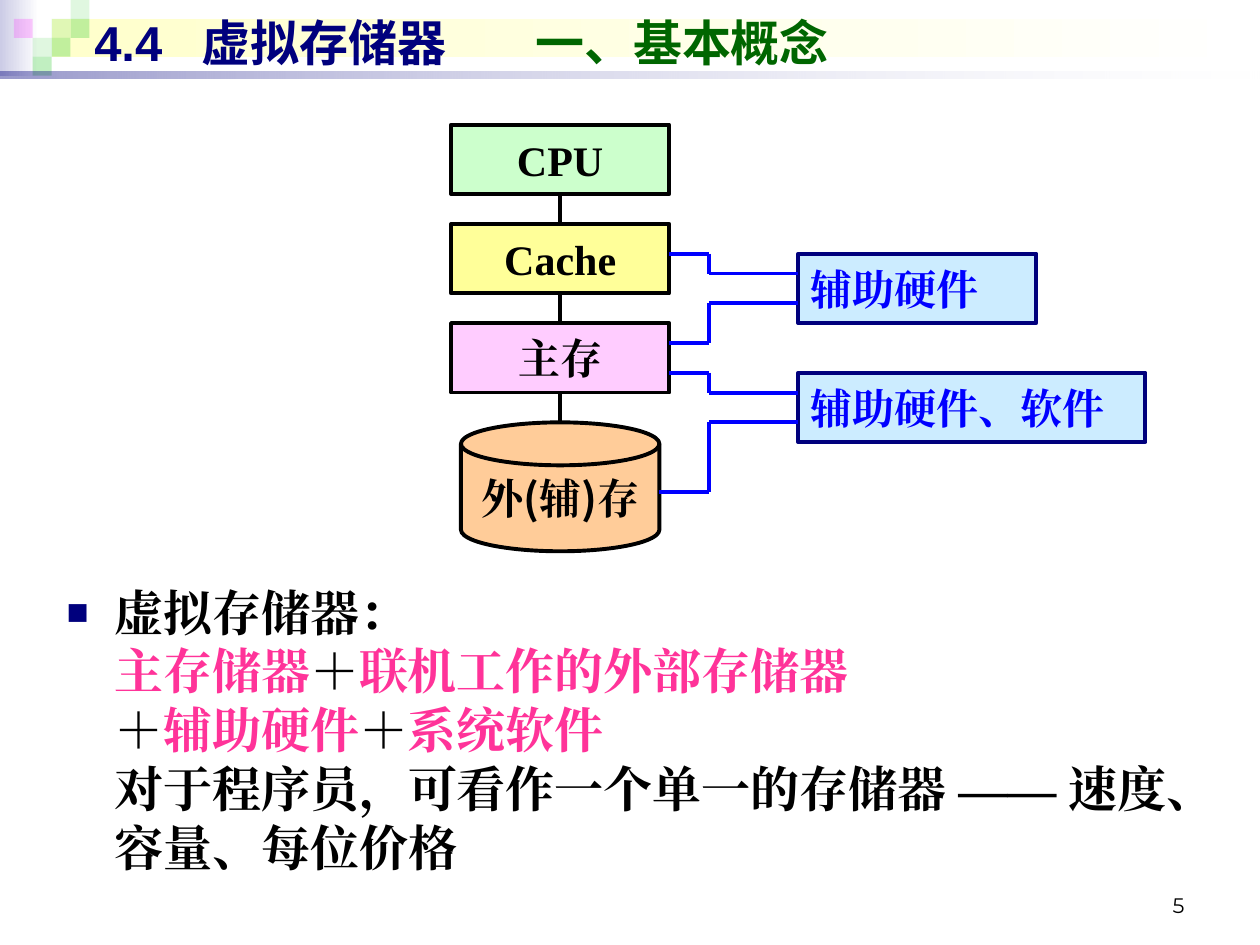
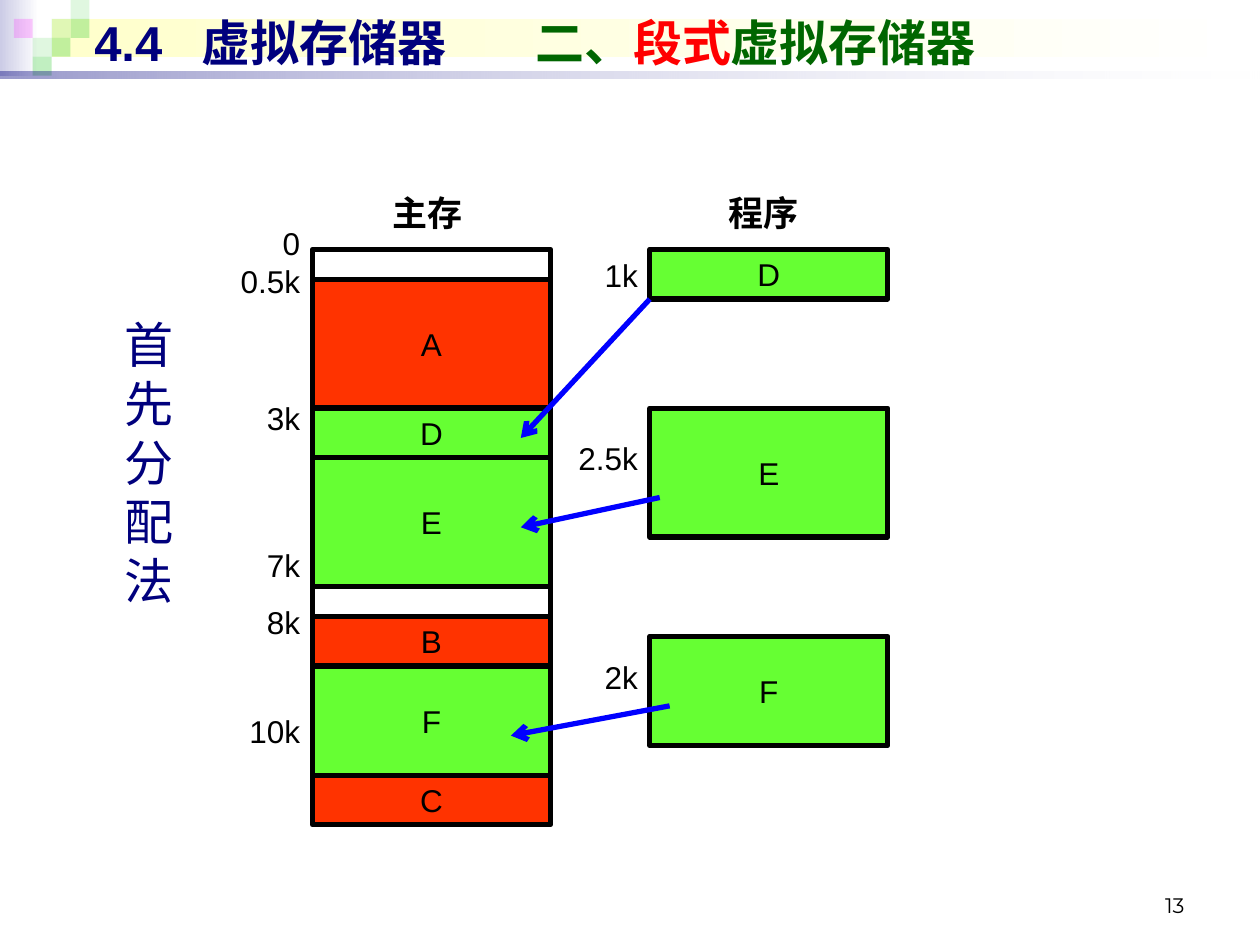
from itertools import accumulate, pairwise

from lxml.etree import SubElement
from pptx import Presentation
from pptx.dml.color import RGBColor
from pptx.enum.shapes import MSO_CONNECTOR, MSO_SHAPE as Preset
from pptx.enum.text import MSO_ANCHOR as Anchor, PP_ALIGN as Align
from pptx.oxml.ns import qn
from pptx.util import Cm, Inches, Pt

WIDTH, HEIGHT = Inches(10), Inches(7.5)
CELL = Cm(0.2)
NAVY, BLUE, BLACK, DARK_GREEN = "00007D", "0000FF", "000000", "006600"
PINK, RED, ORANGE_RED, GREEN = "FF3399", "FF0000", "FF3300", "66FF33"
SANS, SERIF, CJK = "Arial", "Times New Roman", "Noto Sans CJK SC"


def rgb(hex_color):
    return RGBColor.from_string(hex_color)


def inches(*lengths):
    return [Inches(length) for length in lengths]


def on_grid(origin, col, row):
    return Inches(origin[0]) + int(col * CELL), Inches(origin[1]) + int(row * CELL)


def cell_area(origin, col, row, cols, rows):
    return *on_grid(origin, col, row), cols * CELL, rows * CELL


def set_alpha(shape, percents):
    for color, percent in zip(shape._element.spPr.iter(qn("a:srgbClr")), percents):
        SubElement(color, qn("a:alpha"), val=str(percent * 1000))


def add_block(slide, area, fill=None, line=None, weight=0, preset=Preset.RECTANGLE):
    block = slide.shapes.add_shape(preset, *area)
    block.shadow.inherit = False
    if fill:
        block.fill.solid()
        block.fill.fore_color.rgb = rgb(fill)
    else:
        block.fill.background()
    if line:
        block.line.color.rgb = rgb(line)
        block.line.width = Pt(weight)
    else:
        block.line.fill.background()
    return block


def add_fade(slide, area, start, end, alphas=()):
    band = add_block(slide, area)
    band.fill.gradient()
    band.fill.gradient_angle = 0
    for stop, color in zip(band.fill.gradient_stops, (start, end)):
        stop.color.rgb = rgb(color)
    set_alpha(band, alphas)


def add_run(paragraph, text, color=BLACK, font=SANS, size=18, bold=False):
    for index, line in enumerate(text.split("\n")):
        if index:
            paragraph.add_line_break()
        if not line:
            continue
        run = paragraph.add_run()
        run.text = line
        style = {"name": font, "size": Pt(size), "bold": bold}
        for attribute, value in style.items():
            setattr(run.font, attribute, value)
        run.font.color.rgb = rgb(color)
        SubElement(run._r.get_or_add_rPr(), qn("a:ea"), typeface=font)


def write(shape, runs, align=Align.LEFT, anchor=Anchor.TOP, wrap=True, **style):
    frame = shape.text_frame
    frame.word_wrap = wrap
    frame.vertical_anchor = anchor
    paragraph = frame.paragraphs[0]
    paragraph.alignment = align
    for text, *color in runs:
        add_run(paragraph, text, *color, **style)
    return paragraph


def add_text(slide, area, runs, **style):
    return write(slide.shapes.add_textbox(*area), runs, **style)


def add_line(slide, start, end, color, weight, arrow=False):
    line = slide.shapes.add_connector(MSO_CONNECTOR.STRAIGHT, *start, *end)
    line.line.color.rgb = rgb(color)
    line.line.width = Pt(weight)
    if arrow:
        SubElement(line.line._get_or_add_ln(), qn("a:tailEnd"), type="arrow")
    SubElement(line._element.spPr, qn("a:effectLst"))


def set_tabs(paragraph, *stops):
    tabs = SubElement(paragraph._p.get_or_add_pPr(), qn("a:tabLst"))
    for stop in stops:
        SubElement(tabs, qn("a:tab"), pos=str(Inches(stop)), algn="l")


def set_bullet(paragraph, indent):
    properties = paragraph._p.get_or_add_pPr()
    properties.set("marL", str(Inches(indent)))
    properties.set("indent", str(-Inches(indent)))
    SubElement(SubElement(properties, qn("a:buClr")), qn("a:srgbClr"), val=NAVY)
    SubElement(properties, qn("a:buSzPct"), val="75000")
    SubElement(properties, qn("a:buFont"), typeface=SANS)
    SubElement(properties, qn("a:buChar"), char="■")


def add_header(slide):
    add_fade(slide, inches(0, 0, 0.31, 0.6), "CCCCE6", "FFFFFF")
    add_fade(slide, inches(0.41, 0.15, 9.55, 0.3), "FFFFCC", "FFFFFF")
    side = 0.15
    mosaic = [(2, 1, "33CC33", 15), (3, 0, "33CC33", 15), (3, 1, "33CC33", 30),
              (1, 2, "33CC33", 15), (0, 1, "FF00FF", 20), (2, 2, "33CC33", 30),
              (1, 3, "33CC33", 30)]
    for col, row, color, alpha in mosaic:
        area = inches(0.11 + col * side, row * side, side, side)
        set_alpha(add_block(slide, area, color), [alpha])
    add_fade(slide, inches(0, 0.57, 10, 0.05), NAVY, "FFFFFF", (40, 10))


def add_page(deck, number, topic):
    slide = deck.slides.add_slide(deck.slide_layouts[6])
    add_header(slide)
    add_text(slide, inches(7.17, 6.83, 2.33, 0.5), [(str(number),)],
             align=Align.RIGHT, anchor=Anchor.BOTTOM, font="Montserrat", size=12)
    title = add_text(slide, inches(0.65, 0.05, 9, 0.57),
                     [("4.4\t虚拟存储器\t", NAVY), *topic],
                     anchor=Anchor.MIDDLE, size=28, bold=True)
    set_tabs(title, 0.85, 3.5)
    return slide


def add_hierarchy(slide):
    origin = (3.58, 0.99)
    label = {"anchor": Anchor.MIDDLE, "wrap": False, "size": 24, "bold": True}
    disk = add_block(slide, cell_area(origin, 1, 30, 20, 13), "FFCC99", BLACK, 2.25,
                     Preset.FLOWCHART_MAGNETIC_DISK)
    write(disk, [("外", BLACK, SERIF), ("(", BLACK, CJK), ("辅", BLACK, SERIF),
                 (")", BLACK, CJK), ("存", BLACK, SERIF)], align=Align.CENTER, **label)
    levels = [("CPU", "CCFFCC"), ("Cache", "FFFF99"), ("主存", "FFCCFF")]
    for index, (name, fill) in enumerate(levels):
        row = index * 10
        level = add_block(slide, cell_area(origin, 0, row, 22, 7), fill, BLACK, 2.25)
        write(level, [(name,)], align=Align.CENTER, font=SERIF, **label)
        add_line(slide, on_grid(origin, 11, row + 7), on_grid(origin, 11, row + 10),
                 BLACK, 2.25)
    for name, row, cols in [("辅助硬件", 13, 24), ("辅助硬件、软件", 25, 35)]:
        helper = add_block(slide, cell_area(origin, 35, row, cols, 7), "CCECFF", NAVY, 2.25)
        write(helper, [(name, BLUE)], font=SERIF, **label)
    for col, level_row, helper_row in [(22, 13, 15), (22, 22, 18), (22, 25, 27), (21, 37, 30)]:
        bends = [(col, level_row), (26, level_row), (26, helper_row), (35, helper_row)]
        for start, end in pairwise(bends):
            add_line(slide, on_grid(origin, *start), on_grid(origin, *end), BLUE, 2.25)


def add_definition(slide):
    definition = slide.shapes.add_textbox(*inches(0.43, 4.57, 9.15, 2.68))
    set_bullet(definition.text_frame.paragraphs[0], 0.38)
    write(definition, [
        ("虚拟存储器：\n",), ("主存储器", PINK), ("＋",), ("联机工作的外部存储器\n", PINK),
        ("＋",), ("辅助硬件", PINK), ("＋",), ("系统软件\n", PINK),
        ("对于程序员，可看作一个单一的存储器 —— 速度、容量、每位价格",),
    ], font=SERIF, size=28, bold=True)


def add_segment(slide, area, name, fill):
    segment = add_block(slide, area, fill, BLACK, 3)
    if name:
        write(segment, [(name,)], align=Align.CENTER, anchor=Anchor.MIDDLE, wrap=False)


def add_scale(slide, area, marks):
    scale = slide.shapes.add_textbox(*area)
    (first, _), *others = marks
    write(scale, [(first,)], align=Align.RIGHT)
    for mark, gap in others:
        paragraph = scale.text_frame.add_paragraph()
        paragraph.alignment = Align.RIGHT
        paragraph.space_before = Pt(gap)
        add_run(paragraph, mark)


def add_allocation(slide):
    origin = (2.48, 1.98)
    memory = [("", 3, None), ("A", 13, ORANGE_RED), ("D", 5, GREEN), ("E", 13, GREEN),
              ("", 3, None), ("B", 5, ORANGE_RED), ("F", 11, GREEN), ("C", 5, ORANGE_RED)]
    tops = accumulate((rows for _, rows, _ in memory), initial=0)
    for (name, rows, fill), top in zip(memory, tops):
        add_segment(slide, cell_area(origin, 0, top, 24, rows), name, fill)
    for name, top, rows in [("D", 0, 5), ("E", 16, 13), ("F", 39, 11)]:
        add_segment(slide, cell_area(origin, 34, top, 24, rows), name, GREEN)
    for heading, left in [("主存", 2.88), ("程序", 5.55)]:
        add_text(slide, inches(left, 1.47, 1.02, 0.43), [(heading,)],
                 align=Align.CENTER, size=20, bold=True)
    add_scale(slide, inches(1.69, 1.73, 0.79, 4.66),
              [("0", 0), ("0.5k", 0), ("3k", 57), ("7k", 62), ("8k", 11), ("10k", 41)])
    add_scale(slide, inches(4.37, 1.98, 0.79, 3.7), [("1k", 0), ("2.5k", 83), ("2k", 104)])
    for start, end in [((34, 5), (21, 19)), ((35, 25), (21, 28)), ((36, 46), (20, 49))]:
        add_line(slide, on_grid(origin, *start), on_grid(origin, *end), BLUE, 3, arrow=True)
    add_text(slide, inches(0.83, 2.45, 0.71, 2.44), [("首先分配法", NAVY)],
             align=Align.CENTER, size=28)


def main():
    deck = Presentation()
    deck.slide_width, deck.slide_height = WIDTH, HEIGHT
    concept = add_page(deck, 5, [("一、基本概念", DARK_GREEN)])
    add_hierarchy(concept)
    add_definition(concept)
    segmentation = add_page(deck, 13, [("二、", DARK_GREEN), ("段式", RED),
                                       ("虚拟存储器", DARK_GREEN)])
    add_allocation(segmentation)
    deck.save("out.pptx")


if __name__ == "__main__":
    main()
